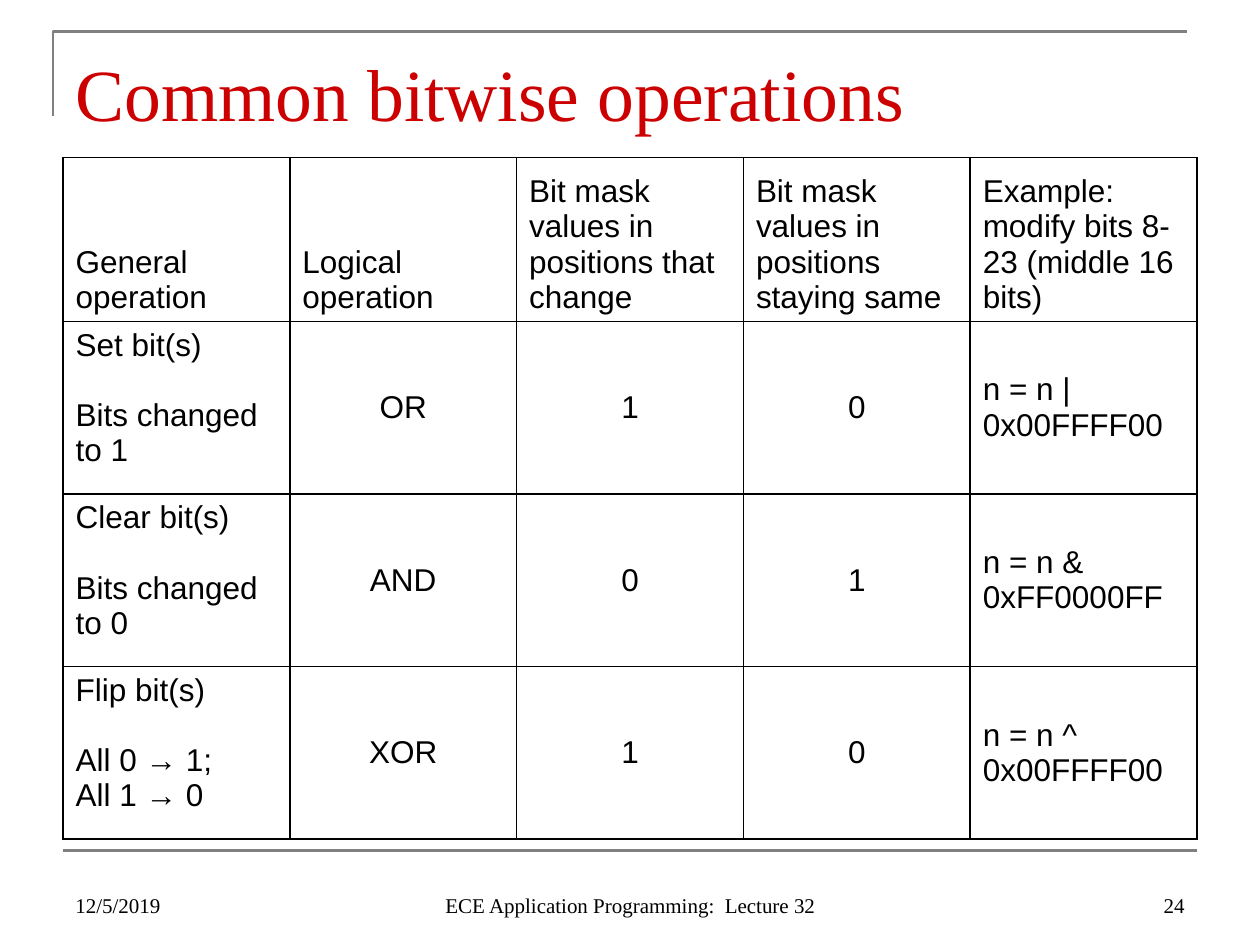
from lxml import etree
from pptx import Presentation
from pptx.dml.color import RGBColor
from pptx.enum.shapes import MSO_CONNECTOR
from pptx.enum.text import MSO_ANCHOR as ANCHOR, PP_ALIGN as ALIGN
from pptx.oxml import parse_xml
from pptx.oxml.ns import qn
from pptx.util import Inches, Pt

BORDER = (
    '<a:{side} xmlns:a="http://schemas.openxmlformats.org/drawingml/2006/main" w="12700">'
    '<a:solidFill><a:srgbClr val="000000"/></a:solidFill></a:{side}>'
)


def color(value):
    return RGBColor.from_string(value)


def add_run(paragraph, text, size, font, value="000000"):
    run = paragraph.add_run()
    run.text = text
    run.font.size = Pt(size)
    run.font.name = font
    run.font.color.rgb = color(value)


presentation = Presentation()
presentation.slide_width = Inches(10)
presentation.slide_height = Inches(7.5)
slide = presentation.slides.add_slide(presentation.slide_layouts[5])

# Frame lines
builder = slide.shapes.build_freeform(Inches(0.42), Inches(0.92))
builder.add_line_segments(
    [(Inches(0.42), Inches(0.25)), (Inches(9.42), Inches(0.25))], close=False
)
corner = builder.convert_to_shape()
corner.shadow.inherit = False
corner.fill.background()
rule = slide.shapes.add_connector(
    MSO_CONNECTOR.STRAIGHT, Inches(0.5), Inches(6.75), Inches(9.5), Inches(6.75)
)
etree.SubElement(rule._element.spPr, qn("a:effectLst"))
for shape in (corner, rule):
    shape.line.color.rgb = color("808080")
    shape.line.width = Pt(1.5)

# Title
title = slide.shapes.title
title.left, title.top = Inches(0.5), Inches(0.3)
title.width, title.height = Inches(9), Inches(0.78)
title.text_frame.vertical_anchor = ANCHOR.BOTTOM
title.text_frame.margin_bottom = 0
title_paragraph = title.text_frame.paragraphs[0]
title_paragraph.alignment = ALIGN.LEFT
add_run(title_paragraph, "Common bitwise operations", 42, "Times New Roman", "CC0000")

# Table: each cell is a list of paragraphs
rows = [
    [["General operation"], ["Logical operation"],
     ["Bit mask values in positions that change"],
     ["Bit mask values in positions staying same"],
     ["Example: modify bits 8-23 (middle 16 bits)"]],
    [["Set bit(s)", "Bits changed to 1"], ["OR"], ["1"], ["0"], ["n = n | 0x00FFFF00"]],
    [["Clear bit(s)", "Bits changed to 0"], ["AND"], ["0"], ["1"], ["n = n & 0xFF0000FF"]],
    [["Flip bit(s)", "All 0 → 1;", "All 1 → 0"], ["XOR"], ["1"], ["0"],
     ["n = n ^ 0x00FFFF00"]],
]
table = slide.shapes.add_table(
    4, 5, Inches(0.5), Inches(1.25), Inches(9), Inches(5.41)
).table
for column in table.columns:
    column.width = Inches(1.8)
for row_index, cells in enumerate(rows):
    table.rows[row_index].height = Inches(1.37 if row_index else 1.3)
    for column_index, lines in enumerate(cells):
        cell = table.cell(row_index, column_index)
        if row_index == 0:
            cell.vertical_anchor = ANCHOR.BOTTOM
        else:
            cell.vertical_anchor = ANCHOR.MIDDLE if column_index else ANCHOR.TOP
        centered = row_index > 0 and column_index in (1, 2, 3)
        for line_index, line in enumerate(lines):
            frame = cell.text_frame
            paragraph = frame.add_paragraph() if line_index else frame.paragraphs[0]
            paragraph.alignment = ALIGN.CENTER if centered else ALIGN.LEFT
            if line_index == 0 and len(lines) > 1:
                paragraph.space_after = Pt(20)
            add_run(paragraph, line, 18, "Arial")
        for side in ("lnL", "lnR", "lnT", "lnB"):
            cell._tc.get_or_add_tcPr().append(parse_xml(BORDER.format(side=side)))
        cell.fill.solid()
        cell.fill.fore_color.rgb = color("FFFFFF")

# Footer
footers = [
    (0.5, 2.33, "12/5/2019", ALIGN.LEFT),
    (3.42, 3.17, "ECE Application Programming:  Lecture 32", ALIGN.CENTER),
    (7.17, 2.33, "24", ALIGN.RIGHT),
]
for left, width, text, alignment in footers:
    footer = slide.shapes.add_textbox(Inches(left), Inches(6.83), Inches(width), Inches(0.5))
    footer.text_frame.word_wrap = True
    footer.text_frame.vertical_anchor = ANCHOR.BOTTOM
    paragraph = footer.text_frame.paragraphs[0]
    paragraph.alignment = alignment
    add_run(paragraph, text, 12, "Times New Roman")

presentation.save("out.pptx")
